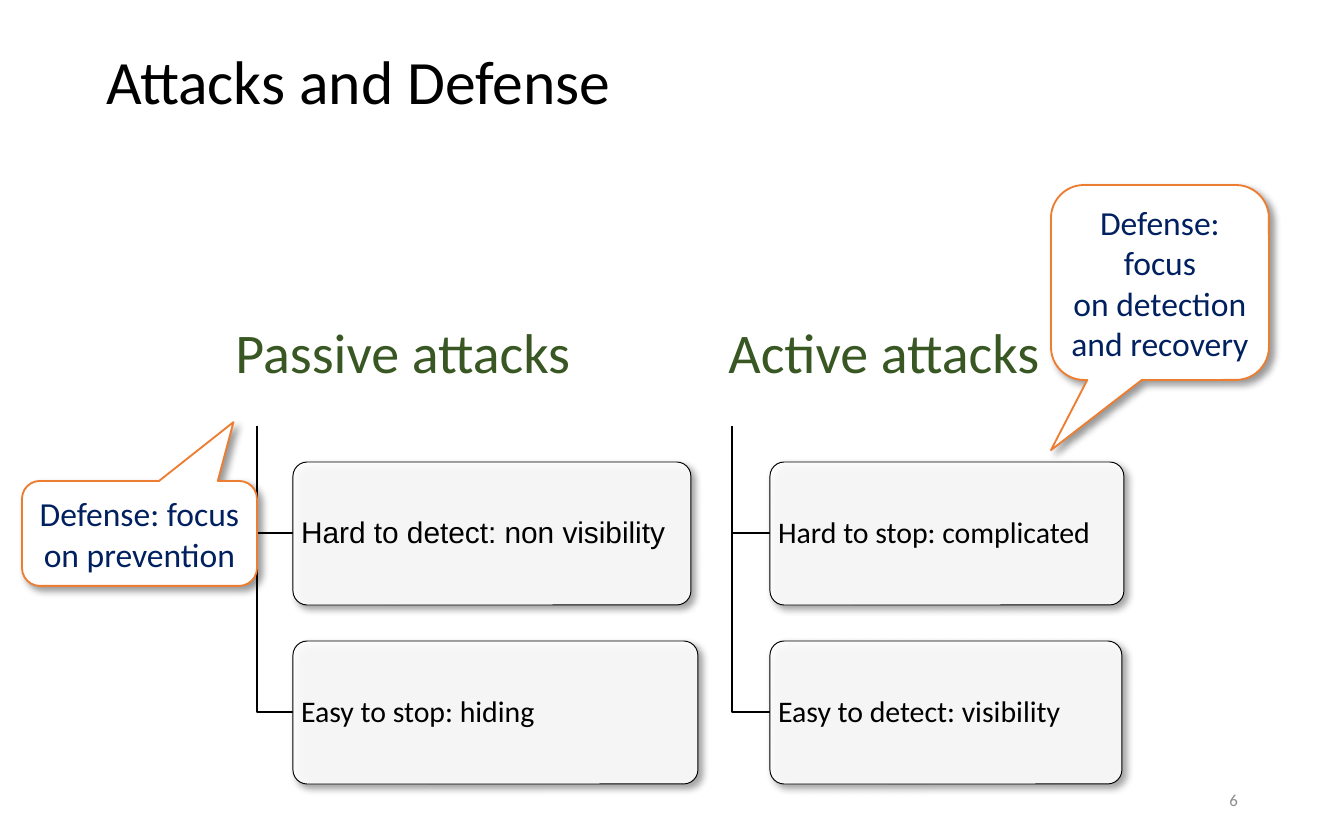
"""Build the slide on passive and active attacks and their defenses."""
from lxml import etree
from pptx import Presentation
from pptx.dml.color import RGBColor
from pptx.enum.shapes import MSO_SHAPE
from pptx.enum.text import MSO_ANCHOR, PP_ALIGN
from pptx.oxml import parse_xml
from pptx.oxml.ns import qn
from pptx.util import Emu, Pt

TITLE = ("Attacks and Defense", (93, 44, 1158, 163))
PAGE = ("6", (949, 778, 302, 44))
BRANCHES = [
    {"heading": "Passive attacks", "heading_box": (224, 288, 358, 134),
     "stem": 257, "left": 293,
     "traits": [("Hard to detect: non visibility", 398, "Arial"),
                ("Easy to stop: hiding", 405, "Calibri")]},
    {"heading": "Active attacks", "heading_box": (698, 288, 372, 134),
     "stem": 732, "left": 770,
     "traits": [("Hard to stop: complicated", 354, "Calibri"),
                ("Easy to detect: visibility", 352, "Calibri")]},
]
DEFENSES = [
    (["Defense:", "focus\von detection\vand recovery"],
     (1051, 185, 218, 195), (-0.5, 0.86, 0.17)),
    (["Defense: focus on prevention"], (22, 481, 235, 105), (0.4, -1.06, 0.17)),
]
STEM_TOP, TRAIT_TOP, TRAIT_HEIGHT, TRAIT_PITCH = 426, 462, 143, 179
EMU_PER_PX = 914400 / 134.4
SHADOW = (
    '<a:effectLst xmlns:a="http://schemas.openxmlformats.org/drawingml/2006/main">'
    '<a:outerShdw blurRad="50800" dist="38100" dir="2700000" algn="tl" rotWithShape="0">'
    '<a:srgbClr val="000000"><a:alpha val="40000"/></a:srgbClr>'
    '</a:outerShdw></a:effectLst>')


def px(length):
    return Emu(round(length * EMU_PER_PX))


def rgb(value):
    return RGBColor.from_string(value)


def write(shape, lines, size, color, font="Calibri", align=PP_ALIGN.CENTER,
          anchor=MSO_ANCHOR.MIDDLE, inset=(13, 7), spacing=None):
    frame = shape.text_frame
    frame.word_wrap = True
    frame.vertical_anchor = anchor
    frame.margin_left = frame.margin_right = px(inset[0])
    frame.margin_top = frame.margin_bottom = px(inset[1])
    frame.text = "\n".join(lines)
    for paragraph in frame.paragraphs:
        paragraph.alignment = align
        paragraph.line_spacing = spacing
        paragraph.font.size = Pt(size)
        paragraph.font.name = font
        paragraph.font.color.rgb = rgb(color)


def add_card(shapes, kind, box, adjustments, line_color, line_width):
    card = shapes.add_shape(kind, *map(px, box))
    for index, value in enumerate(adjustments):
        card.adjustments[index] = value
    card.fill.solid()
    card.fill.fore_color.rgb = rgb("FFFFFF")
    card.line.color.rgb = rgb(line_color)
    card.line.width = Pt(line_width)
    card._element.spPr.append(parse_xml(SHADOW))
    return card


def add_elbow(shapes, stem, left, middle):
    builder = shapes.build_freeform(stem, STEM_TOP, scale=EMU_PER_PX)
    builder.add_line_segments([(stem, middle), (left, middle)], close=False)
    elbow = builder.convert_to_shape()
    elbow.shadow.inherit = False
    elbow.fill.background()
    elbow.line.color.rgb = rgb("000000")
    elbow.line.width = Pt(1)


def add_branch(shapes, branch):
    heading = shapes.add_textbox(*map(px, branch["heading_box"]))
    write(heading, [branch["heading"]], 30, "385723", inset=(8, 5), spacing=0.9)
    for row, (trait, width, font) in enumerate(branch["traits"]):
        top = TRAIT_TOP + row * TRAIT_PITCH
        add_elbow(shapes, branch["stem"], branch["left"], top + TRAIT_HEIGHT // 2)
        card = add_card(shapes, MSO_SHAPE.ROUNDED_RECTANGLE,
                        (branch["left"], top, width, TRAIT_HEIGHT), [0.1], "000000", 0.5)
        fill_color = card._element.spPr.find(qn("a:solidFill"))[0]
        etree.SubElement(fill_color, qn("a:alpha"), val="90000")
        write(card, [trait], 16, "000000", font, PP_ALIGN.LEFT, inset=(4, 3), spacing=0.9)


def main():
    deck = Presentation()
    deck.slide_width, deck.slide_height = px(1344), px(840)
    slide = deck.slides.add_slide(deck.slide_layouts[5])
    shapes = slide.shapes

    title, title_box = TITLE
    heading = shapes.title
    heading.left, heading.top, heading.width, heading.height = map(px, title_box)
    write(heading, [title], 33, "000000", align=PP_ALIGN.LEFT,
          anchor=MSO_ANCHOR.TOP, spacing=0.9)

    for branch in BRANCHES:
        add_branch(shapes, branch)
    for lines, box, adjustments in DEFENSES:
        callout = add_card(shapes, MSO_SHAPE.ROUNDED_RECTANGULAR_CALLOUT,
                           box, adjustments, "ED7D31", 1)
        write(callout, lines, 18, "002060", inset=(7, 7))

    number, number_box = PAGE
    write(shapes.add_textbox(*map(px, number_box)), [number], 9, "8C8C8C",
          align=PP_ALIGN.RIGHT)
    deck.save("out.pptx")


if __name__ == "__main__":
    main()
